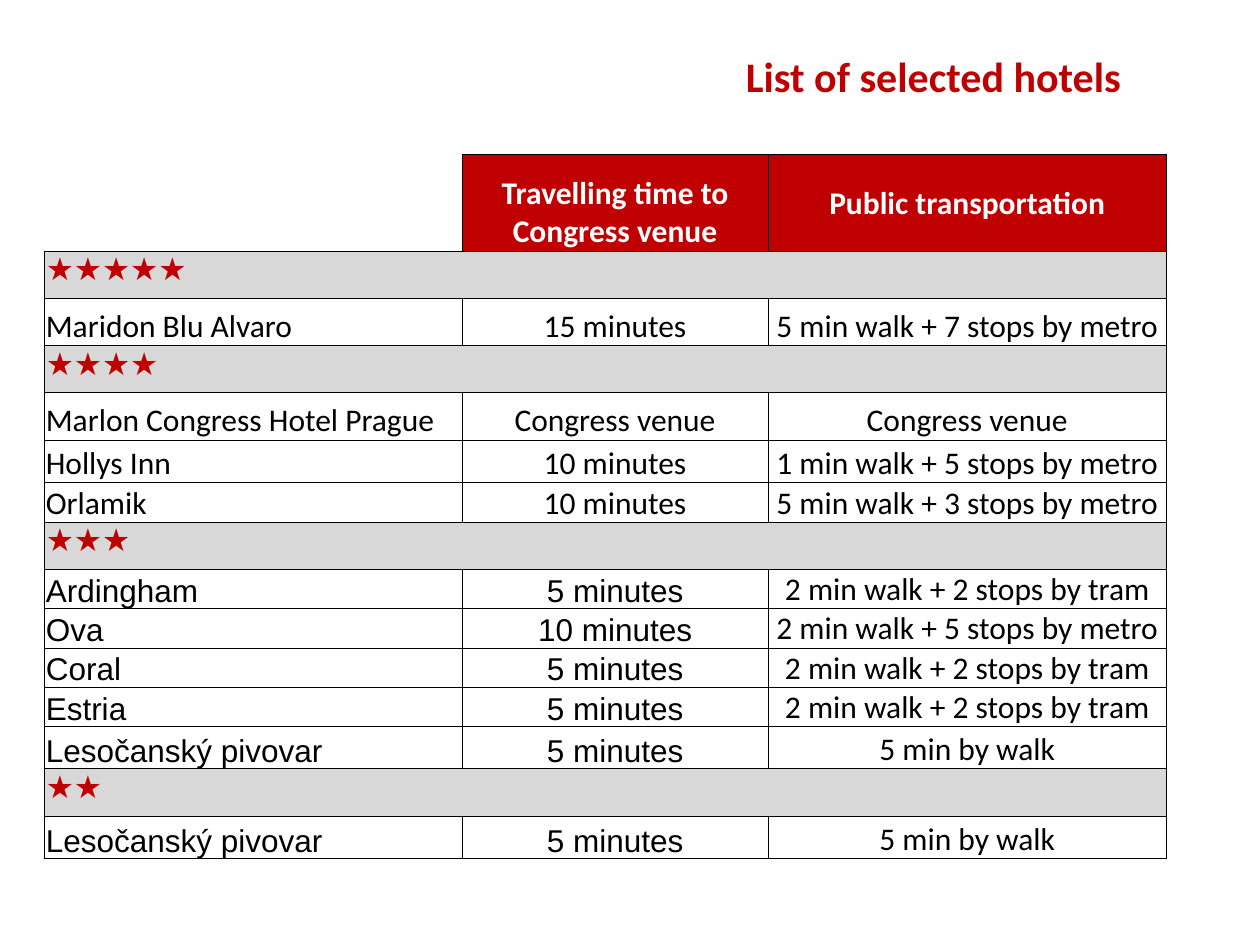
from lxml.etree import SubElement as Sub
from pptx import Presentation
from pptx.dml.color import RGBColor
from pptx.enum.text import MSO_ANCHOR as Anchor, MSO_AUTO_SIZE as Auto, PP_ALIGN as Align
from pptx.oxml.ns import qn
from pptx.util import Pt

RED, GREY, BLACK, WHITE = "C00000", "D8D8D8", "000000", "FFFFFF"
COLS = [238.5, 175, 227.5]
HEAD, BAND = 55, 27
HEADS = [("Travelling time to Congress venue", Anchor.BOTTOM),
         ("Public transportation", Anchor.MIDDLE)]
# Stars, font of the first two columns, hotels with their row heights
GROUPS = [
    (5, "Calibri", [
        (27, "Maridon Blu Alvaro", "15 minutes", "5 min walk + 7 stops by metro")]),
    (4, "Calibri", [
        (27, "Marlon Congress Hotel Prague", "Congress venue", "Congress venue"),
        (24.5, "Hollys Inn", "10 minutes", "1 min walk + 5 stops by metro"),
        (22.5, "Orlamik", "10 minutes", "5 min walk + 3 stops by metro")]),
    (3, "Arial", [
        (22.5, "Ardingham", "5 minutes", "2 min walk + 2 stops by tram"),
        (22.5, "Ova", "10 minutes", "2 min walk + 5 stops by metro"),
        (22.5, "Coral", "5 minutes", "2 min walk + 2 stops by tram"),
        (22.5, "Estria", "5 minutes", "2 min walk + 2 stops by tram"),
        (24, "Lesočanský pivovar", "5 minutes", "5 min by walk")]),
    (2, "Arial", [
        (24.5, "Lesočanský pivovar", "5 minutes", "5 min by walk")]),
]


def color(code):
    return RGBColor.from_string(code)


def write(frame, text, size=18, font="Calibri", ink=BLACK, bold=False,
          italic=False, align=Align.LEFT):
    para = frame.paragraphs[0]
    para.alignment = align
    run = para.add_run()
    run.text = text
    face = run.font
    face.size, face.name, face.bold, face.italic = Pt(size), font, bold, italic
    face.color.rgb = color(ink)


def style(cell, fill=None, anchor=Anchor.BOTTOM, sides="LRTB"):
    """Set margins, anchor, borders on the given sides, and fill."""
    cell.margin_left = cell.margin_right = cell.margin_top = Pt(0.7)
    cell.margin_bottom = 0
    cell.vertical_anchor = anchor
    props = cell._tc.get_or_add_tcPr()
    for side in "LRTB":
        line = Sub(props, qn(f"a:ln{side}"), w=str(Pt(0.5)))
        if side in sides:
            paint = Sub(line, qn("a:solidFill"))
            Sub(paint, qn("a:srgbClr"), val=BLACK)
        else:
            Sub(line, qn("a:noFill"))
    if fill:
        cell.fill.solid()
        cell.fill.fore_color.rgb = color(fill)
    else:
        cell.fill.background()


def add_title(slide, left, top, width, height):
    title = slide.shapes.title
    title.left, title.top, title.width, title.height = map(Pt, (left, top, width, height))
    frame = title.text_frame
    frame.word_wrap = False
    frame.auto_size = Auto.SHAPE_TO_FIT_TEXT
    frame.vertical_anchor = Anchor.TOP
    write(frame, "List of selected hotels", size=24, ink=RED, bold=True)


def fill_head(table):
    table.rows[0].height = Pt(HEAD)
    style(table.cell(0, 0), sides="RB")
    for col, (text, anchor) in enumerate(HEADS, 1):
        cell = table.cell(0, col)
        style(cell, RED, anchor)
        write(cell.text_frame, text, ink=WHITE, bold=True, align=Align.CENTER)


def fill_band(table, row, stars):
    table.rows[row].height = Pt(BAND)
    cells = [table.cell(row, col) for col in range(len(COLS))]
    cells[0].merge(cells[-1])
    for cell in cells:
        style(cell, GREY, Anchor.TOP)
    write(cells[0].text_frame, "★" * stars, font="Arial", ink=RED, bold=True, italic=True)


def fill_hotel(table, row, font, hotel):
    height, *texts = hotel
    table.rows[row].height = Pt(height)
    fonts = [font, font, "Calibri"]
    for col, text in enumerate(texts):
        cell = table.cell(row, col)
        style(cell)
        write(cell.text_frame, text, font=fonts[col],
              align=Align.CENTER if col else Align.LEFT)


def add_hotels(slide, left, top):
    count = 1 + sum(1 + len(hotels) for _, _, hotels in GROUPS)
    high = HEAD + sum(BAND + sum(hotel[0] for hotel in hotels) for _, _, hotels in GROUPS)
    table = slide.shapes.add_table(count, len(COLS), Pt(left), Pt(top),
                                   Pt(sum(COLS)), Pt(high)).table
    table.first_row = table.horz_banding = False
    for col, width in zip(table.columns, COLS):
        col.width = Pt(width)
    fill_head(table)
    row = 1
    for stars, font, hotels in GROUPS:
        fill_band(table, row, stars)
        for row, hotel in enumerate(hotels, row + 1):
            fill_hotel(table, row, font, hotel)
        row += 1


def main():
    deck = Presentation()
    deck.slide_width, deck.slide_height = Pt(720), Pt(540)
    slide = deck.slides.add_slide(deck.slide_layouts[5])
    add_hotels(slide, 25.5, 88.5)
    add_title(slide, 419, 25.5, 231, 36)
    deck.save("out.pptx")


if __name__ == "__main__":
    main()
